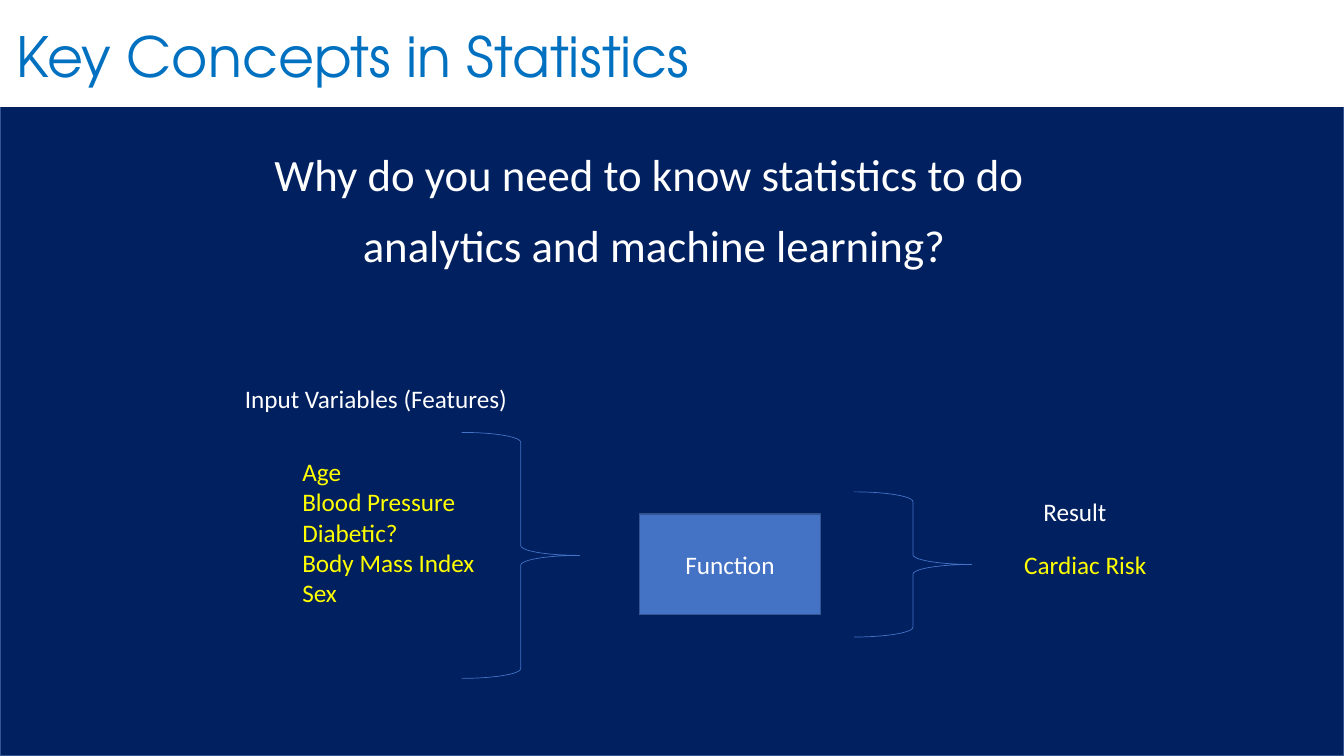
from dataclasses import dataclass
from pptx import Presentation
from pptx.dml.color import RGBColor as Rgb
from pptx.enum.shapes import MSO_SHAPE as Kind
from pptx.enum.text import MSO_ANCHOR as Anchor, MSO_AUTO_SIZE as Fit, PP_ALIGN as Align
from pptx.shapes.autoshape import Shape
from pptx.slide import Slide
from pptx.util import Inches, Pt

HUES = {
    "back": "E7E6E6", "navy": "002060", "white": "FFFFFF", "title": "0070C0",
    "blue": "4472C4", "edge": "325491", "yellow": "FFFF00",
}


@dataclass
class Form:
    box: tuple[float, float, float, float]
    line: str
    fill: str | None = None
    kind: Kind = Kind.RECTANGLE
    width: float = 1
    text: str = ""


@dataclass
class Note:
    box: tuple[float, float, float, float]
    lines: tuple[str, ...]
    hue: str = "white"
    size: float = 18
    font: str = "Calibri"
    align: Align = Align.LEFT
    anchor: Anchor = Anchor.TOP
    after: float = 0
    space: float = 1
    wrap: bool = False
    fit: Fit = Fit.SHAPE_TO_FIT_TEXT


FORMS = (
    Form((0, 1.05, 13.33, 6.45), "edge", "navy"),
    Form((0, -0.02, 13.33, 1.08), "white", "white"),
    Form((6.34, 5.1, 1.8, 1), "edge", "blue", text="Function"),
    Form((4.58, 4.29, 1.17, 2.44), "blue", kind=Kind.RIGHT_BRACE, width=0.5),
    Form((8.47, 4.88, 1.17, 1.44), "blue", kind=Kind.RIGHT_BRACE, width=0.5),
)

NOTES = (
    Note((0.07, 0.3, 10, 0.64), ("Key Concepts in Statistics",), "title", 39.6,
         "TeX Gyre Adventor", anchor=Anchor.BOTTOM, space=0.9, wrap=True, fit=Fit.NONE),
    Note((2.33, 1.41, 8.32, 1.35),
         ("Why do you need to know statistics to do ", "analytics and machine learning?"),
         size=32, align=Align.CENTER, after=12, wrap=True),
    Note((2.9, 4.48, 1.93, 1.62),
         ("Age", "Blood Pressure", "Diabetic?", "Body Mass Index", "Sex"), "yellow"),
    Note((2.33, 3.75, 2.83, 0.4), ("Input Variables (Features)",)),
    Note((10.06, 5.4, 1.43, 0.4), ("Cardiac Risk",), "yellow"),
    Note((10.25, 4.87, 0.83, 0.4), ("Result",)),
)


def color(name: str) -> Rgb:
    return Rgb.from_string(HUES[name])


def write(shape: Shape, note: Note) -> None:
    frame = shape.text_frame
    frame.word_wrap = note.wrap
    frame.auto_size = note.fit
    frame.vertical_anchor = note.anchor
    frame.text = "\n".join(note.lines)
    for para in frame.paragraphs:
        para.alignment = note.align
        para.space_after = Pt(note.after)
        para.line_spacing = note.space
        para.font.name = note.font
        para.font.size = Pt(note.size)
        para.font.color.rgb = color(note.hue)


def draw(slide: Slide, form: Form) -> None:
    shape = slide.shapes.add_shape(form.kind, *map(Inches, form.box))
    shape.shadow.inherit = False
    shape.line.color.rgb = color(form.line)
    shape.line.width = Pt(form.width)
    if form.fill:
        shape.fill.solid()
        shape.fill.fore_color.rgb = color(form.fill)
    else:
        shape.fill.background()
    if form.text:
        write(shape, Note(form.box, (form.text,), align=Align.CENTER,
                          anchor=Anchor.MIDDLE, wrap=True, fit=Fit.NONE))


def main() -> None:
    deck = Presentation()
    deck.slide_width, deck.slide_height = Inches(13.33), Inches(7.5)
    slide = deck.slides.add_slide(deck.slide_layouts[6])
    slide.background.fill.solid()
    slide.background.fill.fore_color.rgb = color("back")
    for form in FORMS:
        draw(slide, form)
    for note in NOTES:
        write(slide.shapes.add_textbox(*map(Inches, note.box)), note)
    deck.save("out.pptx")


if __name__ == "__main__":
    main()
